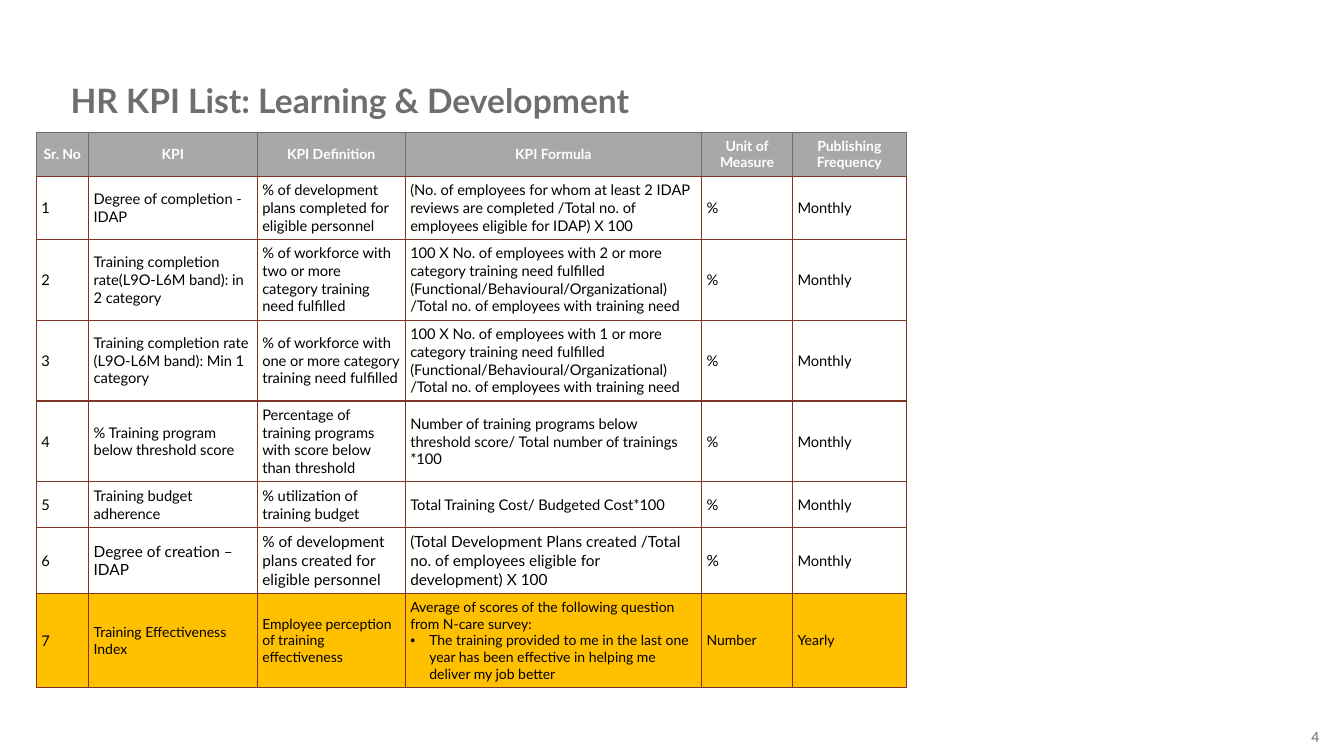
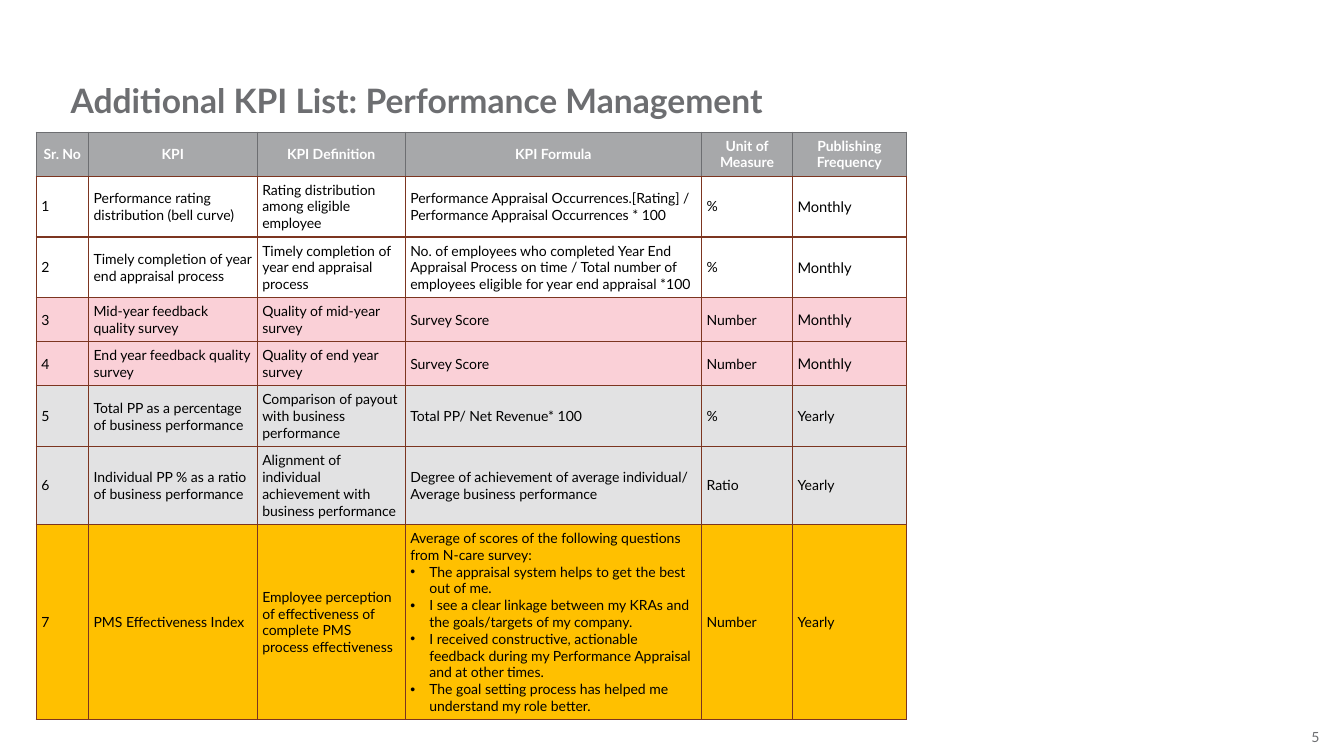
from lxml import etree
from pptx import Presentation
from pptx.dml.color import RGBColor
from pptx.enum.text import MSO_ANCHOR, MSO_AUTO_SIZE, PP_ALIGN
from pptx.oxml.ns import qn
from pptx.util import Cm, Pt

MIDDLE, TOP = MSO_ANCHOR.MIDDLE, MSO_ANCHOR.TOP
LEFT, CENTER, RIGHT = PP_ALIGN.LEFT, PP_ALIGN.CENTER, PP_ALIGN.RIGHT
GROW = MSO_AUTO_SIZE.SHAPE_TO_FIT_TEXT

FONT = "Lato"
COLORS = {
    "gray": "6D6E71", "header": "A7A8AA", "brown": "7C3520", "white": "FFFFFF",
    "black": "000000", "amber": "FFC000", "pink": "FAD0D7", "silver": "E2E2E3",
}
HEADINGS = ["Sr. No", "KPI", "KPI Definition", "KPI Formula",
            "Unit of Measure", "Publishing Frequency"]
COLUMN_WIDTHS = [1.32, 4.25, 3.73, 7.47, 2.29, 2.87]
HEADER_HEIGHT, ROW_HEIGHT = 1.09, 0.81
CELL_MARGIN, BULLET_INDENT = 0.13, 0.48


class KpiDeck:
    """Holds the deck style and the current page."""

    def __init__(self):
        """Start an empty widescreen deck."""
        self.deck = Presentation()
        self.deck.slide_width, self.deck.slide_height = Cm(33.87), Cm(19.05)
        self.page = None

    def add_page(self, title, number):
        """Add a page with its title and page number."""
        self.page = self.deck.slides.add_slide(self.deck.slide_layouts[6])
        self.add_text(str(number), (32.82, 18.36, 0.43, 0.43), 10,
                      align=RIGHT, anchor=MIDDLE, wrap=False)
        self.add_text(title, (1.78, 2.01, 30.45, 1.02), 24, bold=True)

    def format_para(self, para, size, color, bold=False, align=LEFT):
        """Apply alignment and font to a paragraph."""
        para.alignment = align
        for span in para.runs:
            span.font.name = FONT
            span.font.size = Pt(size)
            span.font.bold = bold
            span.font.color.rgb = RGBColor.from_string(COLORS[color])

    def add_text(self, text, place, size, bold=False, align=LEFT, anchor=TOP, wrap=True):
        """Add a gray text box without margins."""
        box = self.page.shapes.add_textbox(*map(Cm, place))
        frame = box.text_frame
        frame.margin_left = frame.margin_right = frame.margin_top = frame.margin_bottom = 0
        frame.word_wrap, frame.auto_size, frame.vertical_anchor = wrap, GROW, anchor
        frame.text = text
        self.format_para(frame.paragraphs[0], size, "gray", bold, align)

    def add_bullet(self, para):
        """Give a paragraph a round bullet and a hanging indent."""
        props = para._p.get_or_add_pPr()
        props.set("marL", str(Cm(BULLET_INDENT)))
        props.set("indent", str(-Cm(BULLET_INDENT)))
        etree.SubElement(props, qn("a:buFont")).set("typeface", "Arial")
        etree.SubElement(props, qn("a:buChar")).set("char", "•")

    def add_borders(self, cell, outer):
        """Draw the cell borders, with a brown line at the bottom."""
        props = cell._tc.get_or_add_tcPr()
        for side, color in (("L", outer), ("R", outer), ("T", outer), ("B", "brown")):
            line = etree.SubElement(props, qn(f"a:ln{side}"), w=str(Pt(1)))
            fill = etree.SubElement(line, qn("a:solidFill"))
            etree.SubElement(fill, qn("a:srgbClr")).set("val", COLORS[color])

    def fill_cell(self, cell, text, size, fill=None, header=False):
        """Write a cell; lines after the first become bullets."""
        cell.margin_left = cell.margin_right = Cm(CELL_MARGIN)
        cell.margin_top = cell.margin_bottom = Cm(CELL_MARGIN)
        cell.vertical_anchor = MIDDLE
        self.add_borders(cell, "gray" if header else "brown")
        if fill:
            cell.fill.solid()
            cell.fill.fore_color.rgb = RGBColor.from_string(COLORS[fill])
        else:
            cell.fill.background()
        cell.text_frame.text = text
        for index, para in enumerate(cell.text_frame.paragraphs):
            self.format_para(para, size, "white" if header else "black", header,
                             CENTER if header else LEFT)
            if index:
                self.add_bullet(para)

    def add_kpi_table(self, rows, height):
        """Add the KPI table; each row is (fill, font sizes, texts)."""
        frame = self.page.shapes.add_table(
            len(rows) + 1, len(HEADINGS), Cm(0.91), Cm(3.33),
            Cm(sum(COLUMN_WIDTHS)), Cm(height))
        table = frame.table
        table.horz_banding = False
        for column, width in zip(table.columns, COLUMN_WIDTHS):
            column.width = Cm(width)
        for row in table.rows:
            row.height = Cm(ROW_HEIGHT)
        table.rows[0].height = Cm(HEADER_HEIGHT)
        frame.height = Cm(height)
        for column, heading in enumerate(HEADINGS):
            self.fill_cell(table.cell(0, column), heading, 10, "header", True)
        for number, (fill, sizes, texts) in enumerate(rows, 1):
            for column, (size, text) in enumerate(zip(sizes, [str(number), *texts])):
                self.fill_cell(table.cell(number, column), text, size, fill)


SMALL = [10] * 6
MEDIUM = [10.5] * 6
LARGE_MIDDLE = [10.5, 11, 11, 11, 11, 10.5]
MEDIUM_FIRST = [10.5] + [10] * 5
MEDIUM_LAST = [10] * 5 + [10.5]

LEARNING = [
    (None, MEDIUM, [
        "Degree of completion - IDAP",
        "% of development plans completed for eligible personnel",
        "(No. of employees for whom at least 2 IDAP reviews are completed "
        "/Total no. of employees eligible for IDAP) X 100", "%", "Monthly"]),
    (None, MEDIUM, [
        "Training completion rate(L9O-L6M band): in 2 category",
        "% of workforce with two or more category training need fulfilled",
        "100 X No. of employees with 2 or more category training need fulfilled "
        "(Functional/Behavioural/Organizational) "
        "/Total no. of employees with training need", "%", "Monthly"]),
    (None, MEDIUM, [
        "Training completion rate (L9O-L6M band): Min 1 category",
        "% of workforce with one or more category training need fulfilled",
        "100 X No. of employees with 1 or more category training need fulfilled "
        "(Functional/Behavioural/Organizational) "
        "/Total no. of employees with training need", "%", "Monthly"]),
    (None, MEDIUM, [
        "% Training program below threshold score",
        "Percentage of training programs with score below than threshold",
        "Number of training programs below threshold score/ "
        "Total number of trainings *100", "%", "Monthly"]),
    (None, MEDIUM, [
        "Training budget adherence", "% utilization of training budget",
        "Total Training Cost/ Budgeted Cost*100", "%", "Monthly"]),
    (None, LARGE_MIDDLE, [
        "Degree of creation – IDAP",
        "% of development plans created for eligible personnel",
        "(Total Development Plans created /Total no. of employees eligible "
        "for development) X 100", "%", "Monthly"]),
    ("amber", MEDIUM_FIRST, [
        "Training Effectiveness Index",
        "Employee perception of training effectiveness",
        "Average of scores of the following question from N-care survey:\n"
        "The training provided to me in the last one year has been effective "
        "in helping me deliver my job better", "Number", "Yearly"]),
]

PERFORMANCE = [
    (None, MEDIUM_LAST, [
        "Performance rating distribution (bell curve)",
        "Rating distribution among eligible employee",
        "Performance Appraisal Occurrences.[Rating] / "
        "Performance Appraisal Occurrences * 100", "%", "Monthly"]),
    (None, MEDIUM_LAST, [
        "Timely completion of year end appraisal process",
        "Timely completion of year end appraisal process",
        "No. of employees who completed Year End Appraisal Process on time / "
        "Total number of employees eligible for year end appraisal *100",
        "%", "Monthly"]),
    ("pink", MEDIUM_LAST, [
        "Mid-year feedback quality survey", "Quality of mid-year survey",
        "Survey Score", "Number", "Monthly"]),
    ("pink", MEDIUM_LAST, [
        "End year feedback quality survey", "Quality of end year survey",
        "Survey Score", "Number", "Monthly"]),
    ("silver", SMALL, [
        "Total PP as a percentage of business performance",
        "Comparison of payout with business performance",
        "Total PP/ Net Revenue* 100", "%", "Yearly"]),
    ("silver", SMALL, [
        "Individual PP % as a ratio of business performance",
        "Alignment of individual achievement with business performance",
        "Degree of achievement of average individual/ Average business performance",
        "Ratio", "Yearly"]),
    ("amber", SMALL, [
        "PMS Effectiveness Index",
        "Employee perception of effectiveness of complete PMS process effectiveness",
        "Average of scores of the following questions from N-care survey:\n"
        "The appraisal system helps to get the best out of me.\n"
        "I see a clear linkage between my KRAs and the goals/targets of my company.\n"
        "I received constructive, actionable feedback during my Performance "
        "Appraisal and at other times.\n"
        "The goal setting process has helped me understand my role better.",
        "Number", "Yearly"]),
]

kpi_deck = KpiDeck()
kpi_deck.add_page("HR KPI List: Learning & Development", 4)
kpi_deck.add_kpi_table(LEARNING, 13.94)
kpi_deck.add_page("Additional KPI List: Performance Management", 5)
kpi_deck.add_kpi_table(PERFORMANCE, 14.73)
kpi_deck.deck.save("out.pptx")
